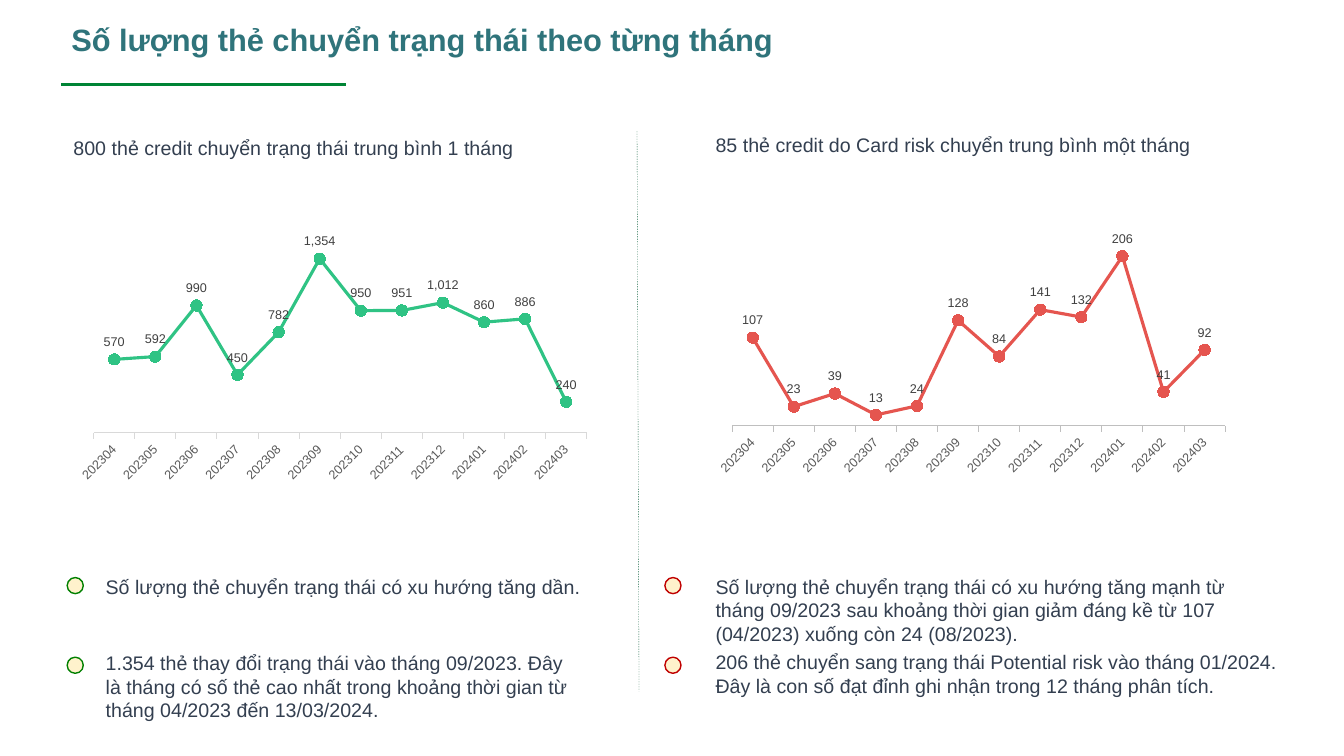
from lxml import etree
from pptx import Presentation
from pptx.chart.data import CategoryChartData
from pptx.dml.color import RGBColor
from pptx.enum.chart import XL_CHART_TYPE, XL_LABEL_POSITION, XL_MARKER_STYLE, XL_TICK_LABEL_POSITION, XL_TICK_MARK
from pptx.enum.dml import MSO_LINE
from pptx.enum.shapes import MSO_CONNECTOR, MSO_SHAPE
from pptx.enum.text import MSO_ANCHOR, MSO_AUTO_SIZE
from pptx.oxml import parse_xml
from pptx.oxml.ns import nsdecls, qn
from pptx.util import Inches, Pt

LINE_CHART = XL_CHART_TYPE.LINE_MARKERS
ABOVE = XL_LABEL_POSITION.ABOVE
CIRCLE = XL_MARKER_STYLE.CIRCLE
LOW = XL_TICK_LABEL_POSITION.LOW
OUT, NONE = XL_TICK_MARK.OUTSIDE, XL_TICK_MARK.NONE
DASH = MSO_LINE.DASH
STRAIGHT = MSO_CONNECTOR.STRAIGHT
DOT = MSO_SHAPE.FLOWCHART_CONNECTOR
TOP, MIDDLE = MSO_ANCHOR.TOP, MSO_ANCHOR.MIDDLE
GROW = MSO_AUTO_SIZE.SHAPE_TO_FIT_TEXT

TEAL = RGBColor(0x2F, 0x74, 0x7B)
SLATE = RGBColor(0x33, 0x3F, 0x50)
RULE = RGBColor(0x00, 0x84, 0x35)
SPLIT = RGBColor(0x19, 0x68, 0x47)
MINT = RGBColor(0x2F, 0xC3, 0x84)
CORAL = RGBColor(0xE5, 0x55, 0x4F)
GREEN = RGBColor(0x00, 0x80, 0x00)
RED = RGBColor(0xC0, 0x00, 0x00)
CREAM = RGBColor(0xFF, 0xF2, 0xCC)
BLACK = RGBColor(0x00, 0x00, 0x00)
LABEL = RGBColor(0x40, 0x40, 0x40)
TICK = RGBColor(0x59, 0x59, 0x59)
PALE = RGBColor(0xD9, 0xD9, 0xD9)
GREY = RGBColor(0xBF, 0xBF, 0xBF)

FONT = "Arial"
WIDE, HIGH = Inches(13.33), Inches(7.5)
COLS, ROWS = 40, 30
MONTHS = [f"2023{m:02}" for m in range(4, 13)] + [f"2024{m:02}" for m in range(1, 4)]
LAYOUT = {"xMode": "edge", "yMode": "edge", "x": 0.05, "y": 0.02, "w": 0.93, "h": 0.77}


def col(n):
    return int(WIDE * n / COLS)


def row(n):
    return int(HIGH * n / ROWS)


def style(font, size, color, bold=False):
    font.name, font.size, font.bold = FONT, Pt(size), bold
    font.color.rgb = color


def add_text(slide, text, x, y, w, h, size=14, color=SLATE, bold=False, anchor=TOP):
    box = slide.shapes.add_textbox(col(x), row(y), col(w), row(h))
    frame = box.text_frame
    frame.text = text
    frame.word_wrap = True
    frame.vertical_anchor = anchor
    if anchor == TOP:
        frame.auto_size = GROW
    else:
        frame.paragraphs[0].line_spacing = 0.9
    style(frame.paragraphs[0].runs[0].font, size, color, bold)


def add_line(slide, x1, y1, x2, y2, color, width, dash=None):
    line = slide.shapes.add_connector(STRAIGHT, col(x1), row(y1), col(x2), row(y2))
    line.line.color.rgb = color
    line.line.width = Pt(width)
    if dash:
        line.line.dash_style = dash
    etree.SubElement(line._element.spPr, qn("a:effectLst"))


def add_dot(slide, x, y, color):
    dot = slide.shapes.add_shape(DOT, col(x), row(y), Inches(0.16), Inches(0.16))
    dot.shadow.inherit = False
    dot.fill.solid()
    dot.fill.fore_color.rgb = CREAM
    dot.line.color.rgb = color
    dot.line.width = Pt(1)


def set_plot(chart):
    area = chart._chartSpace.chart.plotArea
    for old in area.findall(qn("c:layout")):
        area.remove(old)
    parts = "".join(f'<c:{key} val="{val}"/>' for key, val in LAYOUT.items())
    area.insert(0, parse_xml(
        f'<c:layout {nsdecls("c")}><c:manualLayout><c:layoutTarget val="inner"/>'
        f'{parts}</c:manualLayout></c:layout>'))


def set_axes(chart, peak, color):
    months, cards = chart.category_axis, chart.value_axis
    months.has_major_gridlines = False
    months.major_tick_mark, months.minor_tick_mark = OUT, NONE
    months.tick_label_position = LOW
    months.format.line.color.rgb = color
    months.format.line.width = Pt(0.75)
    style(months.tick_labels.font, 9, TICK)
    months._element.txPr.find(qn("a:bodyPr")).set("rot", "-2700000")
    cards.has_major_gridlines = False
    cards.minimum_scale, cards.maximum_scale = 0, peak
    cards.visible = False


def add_trend(slide, x, y, vals, peak, color, edge):
    data = CategoryChartData(number_format="#,##0")
    data.categories = MONTHS
    data.add_series("Series 1", vals)
    chart = slide.shapes.add_chart(
        LINE_CHART, col(x), row(y), col(15.78), row(10.6), data).chart
    chart.has_legend = chart.has_title = False
    style(chart.font, 10, BLACK)
    set_plot(chart)
    set_axes(chart, peak, edge)
    plot = chart.plots[0]
    plot.vary_by_categories = False
    trend = plot.series[0]
    trend.smooth = False
    trend.format.line.color.rgb = color
    trend.format.line.width = Pt(2.25)
    mark = trend.marker
    mark.style, mark.size = CIRCLE, 8
    mark.format.fill.solid()
    mark.format.fill.fore_color.rgb = color
    mark.format.line.color.rgb = color
    tags = trend.data_labels
    tags.show_value = True
    tags.position = ABOVE
    tags.number_format, tags.number_format_is_linked = "#,##0", False
    style(tags.font, 9, LABEL)


def main():
    deck = Presentation()
    deck.slide_width, deck.slide_height = WIDE, HIGH
    slide = deck.slides.add_slide(deck.slide_layouts[6])

    add_line(slide, 1.83, 3.36, 10.29, 3.36, RULE, 2.25)
    add_text(slide, "Số lượng thẻ chuyển trạng thái theo từng tháng",
             1.83, 0.28, 33.58, 2.76, 22, TEAL, True, MIDDLE)

    add_trend(slide, 2, 8.8,
              [570, 592, 990, 450, 782, 1354, 950, 951, 1012, 860, 886, 240],
              1600, MINT, PALE)
    add_trend(slide, 21, 8.52,
              [107, 23, 39, 13, 24, 128, 84, 141, 132, 206, 41, 92],
              250, CORAL, GREY)
    add_line(slide, 18.96, 5.2, 19.02, 27.44, SPLIT, 0.25, DASH)

    notes = [
        ("800 thẻ credit chuyển trạng thái trung bình 1 tháng", 1.89, 5.2, 14.58, 1.36),
        ("85 thẻ credit do Card risk chuyển trung bình một tháng", 21, 5.08, 15, 1.36),
        ("Số lượng thẻ chuyển trạng thái có xu hướng tăng dần.", 2.85, 22.6, 16.17, 1.36),
        ("1.354 thẻ thay đổi trạng thái vào tháng 09/2023. Đây là tháng có số thẻ cao nhất "
         "trong khoảng thời gian từ tháng 04/2023 đến 13/03/2024.", 2.85, 25.64, 14.58, 3.24),
        ("Số lượng thẻ chuyển trạng thái có xu hướng tăng mạnh từ tháng 09/2023 sau khoảng "
         "thời gian giảm đáng kề từ 107 (04/2023) xuống còn 24 (08/2023).",
         21, 22.6, 16.77, 3.24),
        ("206 thẻ chuyển sang trạng thái Potential risk vào tháng 01/2024. Đây là con số "
         "đạt đỉnh ghi nhận trong 12 tháng phân tích.", 21, 25.6, 17.34, 2.28),
    ]
    for note in notes:
        add_text(slide, *note)

    for x, color in ((2, GREEN), (19.79, RED)):
        for y in (22.92, 26.08):
            add_dot(slide, x, y, color)

    deck.save("out.pptx")


if __name__ == "__main__":
    main()
